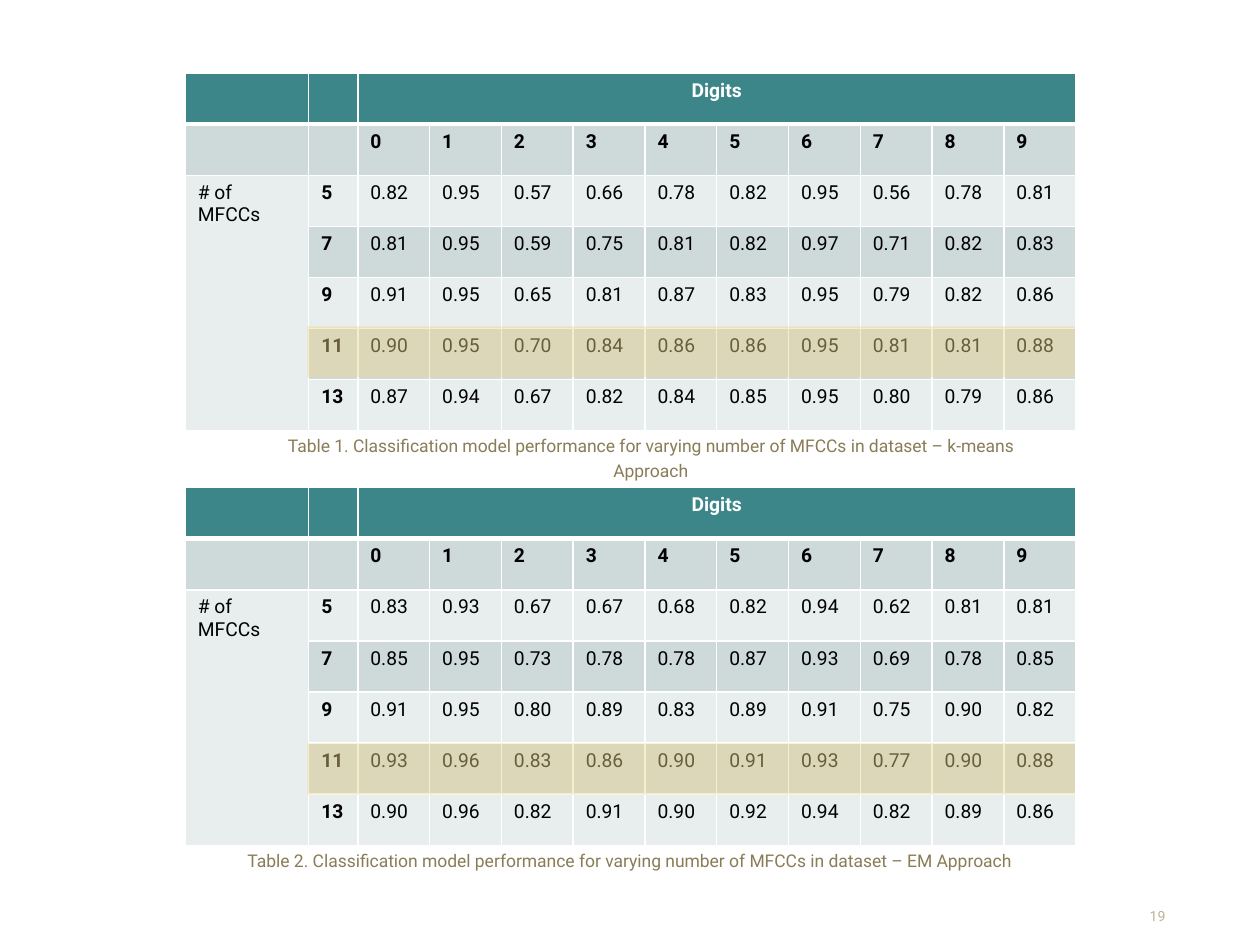
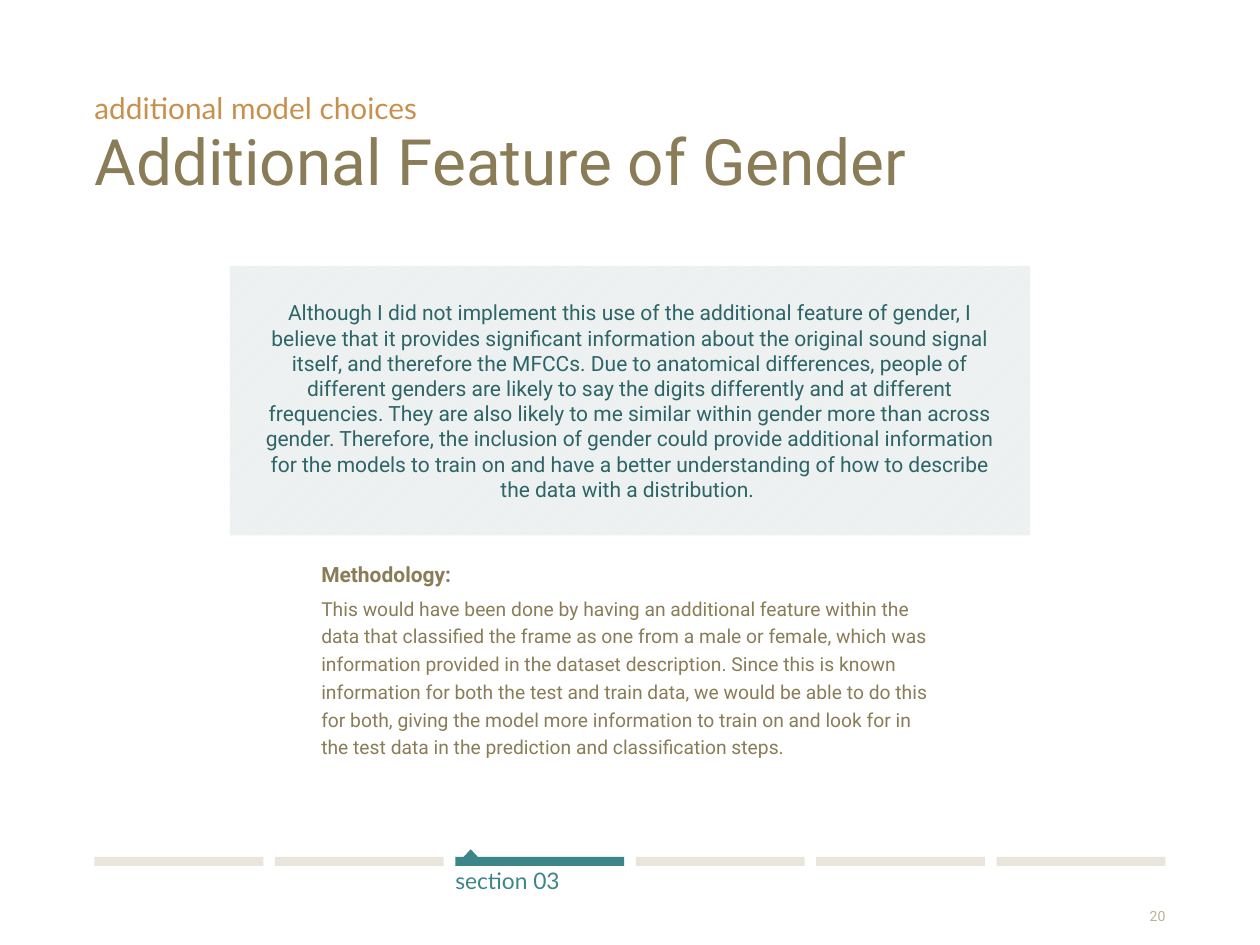
from pptx import Presentation
from pptx.dml.color import RGBColor
from pptx.enum.dml import MSO_PATTERN
from pptx.enum.shapes import MSO_SHAPE
from pptx.enum.text import MSO_ANCHOR, PP_ALIGN
from pptx.oxml.ns import qn
from pptx.util import Inches, Pt
from lxml.etree import SubElement

C = {
    "teal": "3C8689", "dark_teal": "2D6467", "band": "CED9DA", "pale": "E8EDED",
    "olive": "897C57", "sand": "BCB296", "bar": "E9E5DC", "orange": "C8904D",
    "gold": "EED68D", "white": "FFFFFF", "black": "000000",
    "stripe": "D3EBEC", "ground": "F2F2F2",
}
C = {name: RGBColor.from_string(value) for name, value in C.items()}

prs = Presentation()
prs.slide_width, prs.slide_height = Inches(10), Inches(7.5)
COL, ROW = prs.slide_width / 100, prs.slide_height / 100


def write(tf, text, size=11, color="olive", font="Roboto", bold=False,
          align=PP_ALIGN.LEFT, spacing=None, before=0, after=0):
    p = tf.add_paragraph() if tf.text else tf.paragraphs[0]
    p.alignment, p.line_spacing = align, spacing
    p.space_before, p.space_after = Pt(before), Pt(after)
    r = p.add_run()
    r.text = text
    r.font.name, r.font.size, r.font.bold = font, Pt(size), bold
    r.font.color.rgb = C[color]


def box(s, x, y, w, h, fill=None):
    at = [int(v) for v in (x * COL, y * ROW, w * COL, h * ROW)]
    if fill:
        sp = s.shapes.add_shape(MSO_SHAPE.RECTANGLE, *at)
        sp.fill.solid()
        sp.fill.fore_color.rgb = C[fill]
        sp.line.fill.background()
        sp.shadow.inherit = False
    else:
        sp = s.shapes.add_textbox(*at)
    tf = sp.text_frame
    tf.word_wrap = True
    tf.margin_left = tf.margin_right = tf.margin_top = tf.margin_bottom = 0
    return sp


slides = []
for number in ("19", "20"):
    s = prs.slides.add_slide(prs.slide_layouts[6])
    sp = box(s, 89.3, 96.13, 3.2, 1.73)
    sp.text_frame.vertical_anchor = MSO_ANCHOR.BOTTOM
    write(sp.text_frame, number, size=8, color="sand", align=PP_ALIGN.RIGHT)
    slides.append(s)
results, gender = slides

MFCCS = (5, 7, 9, 11, 13)
COL_WIDTHS = [9.8, 3.9] + [5.7] * 10
ROW_HEIGHT = 5.41
TABLES = [
    (7.73, 34.53, 20.5, 62.3, "Table 1. Classification model performance for varying number of MFCCs in dataset – k-means Approach", [
        "0.82 0.95 0.57 0.66 0.78 0.82 0.95 0.56 0.78 0.81",
        "0.81 0.95 0.59 0.75 0.81 0.82 0.97 0.71 0.82 0.83",
        "0.91 0.95 0.65 0.81 0.87 0.83 0.95 0.79 0.82 0.86",
        "0.90 0.95 0.70 0.84 0.86 0.86 0.95 0.81 0.81 0.88",
        "0.87 0.94 0.67 0.82 0.84 0.85 0.95 0.80 0.79 0.86"]),
    (51.6, 78.67, 19.2, 61.5, "Table 2. Classification model performance for varying number of MFCCs in dataset – EM Approach", [
        "0.83 0.93 0.67 0.67 0.68 0.82 0.94 0.62 0.81 0.81",
        "0.85 0.95 0.73 0.78 0.78 0.87 0.93 0.69 0.78 0.85",
        "0.91 0.95 0.80 0.89 0.83 0.89 0.91 0.75 0.90 0.82",
        "0.93 0.96 0.83 0.86 0.90 0.91 0.93 0.77 0.90 0.88",
        "0.90 0.96 0.82 0.91 0.90 0.92 0.94 0.82 0.89 0.86"]),
]

for top, highlight_top, caption_left, caption_width, caption, scores in TABLES:
    grid = [["", "", "Digits"] + [""] * 9, ["", ""] + [str(d) for d in range(10)]]
    grid += [["", str(n)] + line.split() for n, line in zip(MFCCS, scores)]
    grid[2][0] = "# of MFCCs"
    tbl = results.shapes.add_table(
        len(grid), len(COL_WIDTHS), int(14.7 * COL), int(top * ROW),
        int(sum(COL_WIDTHS) * COL), int(len(grid) * ROW_HEIGHT * ROW)).table
    tbl.first_row = tbl.horz_banding = False
    for column, width in zip(tbl.columns, COL_WIDTHS):
        column.width = int(width * COL)
    for i, line in enumerate(grid):
        tbl.rows[i].height = int(ROW_HEIGHT * ROW)
        for j, text in enumerate(line):
            cell = tbl.cell(i, j)
            tcPr = cell._tc.get_or_add_tcPr()
            for side in ("lnL", "lnR", "lnT", "lnB"):
                thick = (i, side) in ((0, "lnB"), (1, "lnT"))
                ln = SubElement(tcPr, qn("a:" + side), w=str(Pt(3 if thick else 1)))
                SubElement(SubElement(ln, qn("a:solidFill")), qn("a:srgbClr"), val=str(C["white"]))
            cell.fill.solid()
            fill = "teal" if i == 0 else "band" if i % 2 and (i == 1 or j) else "pale"
            cell.fill.fore_color.rgb = C[fill]
            if text:
                write(cell.text_frame, text, bold=i < 2 or j == 1,
                      color="black" if i else "white",
                      align=PP_ALIGN.LEFT if i else PP_ALIGN.CENTER)
    tbl.cell(0, 2).merge(tbl.cell(0, 11))
    tbl.cell(2, 0).merge(tbl.cell(6, 0))

    sp = box(results, caption_left, top + len(grid) * ROW_HEIGHT, caption_width, 2.4)
    write(sp.text_frame, caption, size=10, align=PP_ALIGN.CENTER, spacing=1.2)

    sp = box(results, 24.4, highlight_top, 60.9, ROW_HEIGHT, fill="gold")
    SubElement(sp._element.spPr.find(".//" + qn("a:srgbClr")), qn("a:alpha"), val="44000")

sp = box(gender, 7.5, 14.13, 85, 13.33)
write(sp.text_frame, "Additional Feature of Gender", size=36.5, spacing=0.85)
sp = box(gender, 7.5, 10.13, 85, 6.53)
write(sp.text_frame, "additional model choices", size=17, color="orange", font="Lato", spacing=0.85)

sp = box(gender, 18.25, 28.13, 63.5, 28.53, fill="ground")
sp.fill.patterned()
sp.fill.pattern = MSO_PATTERN.DARK_UPWARD_DIAGONAL
sp.fill.fore_color.rgb, sp.fill.back_color.rgb = C["stripe"], C["ground"]
tf = sp.text_frame
tf.margin_left = tf.margin_right = tf.margin_top = tf.margin_bottom = int(2.5 * COL)
tf.vertical_anchor = MSO_ANCHOR.MIDDLE
write(tf, "Although I did not implement this use of the additional feature of gender, I believe that it "
      "provides significant information about the original sound signal itself, and therefore the MFCCs. "
      "Due to anatomical differences, people of different genders are likely to say the digits differently "
      "and at different frequencies. They are also likely to me similar within gender more than across "
      "gender. Therefore, the inclusion of gender could provide additional information for the models to "
      "train on and have a better understanding of how to describe the data with a distribution. ",
      size=12, color="dark_teal", align=PP_ALIGN.CENTER)

tf = box(gender, 25.5, 58.93, 49, 22.93).text_frame
write(tf, "Methodology:", size=12, bold=True, spacing=1.2, before=6, after=3)
write(tf, "This would have been done by having an additional feature within the data that classified the "
      "frame as one from a male or female, which was information provided in the dataset description. "
      "Since this is known information for both the test and train data, we would be able to do this for "
      "both, giving the model more information to train on and look for in the test data in the prediction "
      "and classification steps.", spacing=1.2, after=6)

SECTIONS, CURRENT = 6, 2
BAR_WIDTH, BAR_TOP, BAR_HEIGHT = 13.4, 90.67, 0.95
pitch = (85 - BAR_WIDTH) / (SECTIONS - 1)
for i in range(SECTIONS):
    box(gender, 7.5 + i * pitch, BAR_TOP, BAR_WIDTH, BAR_HEIGHT, fill="teal" if i == CURRENT else "bar")

left, base = 7.5 + CURRENT * pitch, BAR_TOP + BAR_HEIGHT
fb = gender.shapes.build_freeform(int(left * COL), int(base * ROW))
fb.add_line_segments([(int((left + 1.22) * COL), int(89.87 * ROW)),
                      (int((left + 2.44) * COL), int(base * ROW))])
sp = fb.convert_to_shape()
sp.fill.solid()
sp.fill.fore_color.rgb = C["teal"]
sp.line.fill.background()
sp.shadow.inherit = False

sp = box(gender, left, 91.73, BAR_WIDTH, 2.93)
write(sp.text_frame, "section 03", size=13, color="teal", font="Lato")

prs.save("out.pptx")
